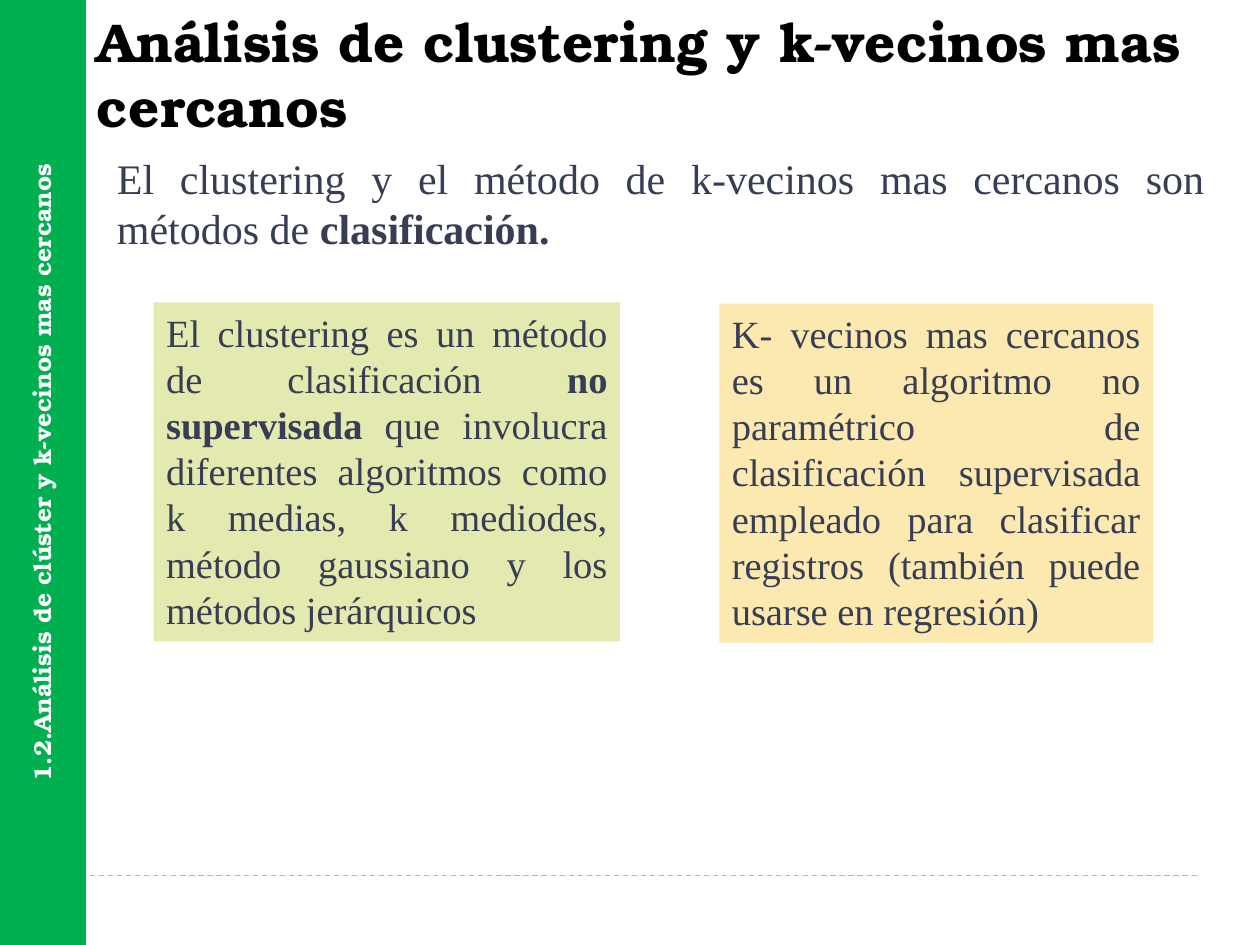
from dataclasses import dataclass
from typing import Optional

from pptx import Presentation
from pptx.dml.color import RGBColor
from pptx.enum.dml import MSO_LINE
from pptx.enum.shapes import MSO_CONNECTOR, MSO_SHAPE
from pptx.enum.text import MSO_ANCHOR as Anchor, PP_ALIGN as Align
from pptx.oxml.ns import qn
from pptx.util import Pt
from lxml.etree import SubElement

COLORS = {
    "green": "00B050", "rule": "9FB8CD", "white": "FFFFFF", "black": "000000",
    "ink": "373D54", "lime": "E4E9AF", "amber": "FCE9AF",
}
HEADING, BODY = "TeX Gyre Bonum", "Times New Roman"


@dataclass
class Block:
    left: float
    top: float
    width: float
    height: float
    runs: list[tuple[str, bool]]
    size: float
    font: str = BODY
    color: str = "ink"
    align: Align = Align.JUSTIFY
    fill: Optional[str] = None
    line: Optional[str] = None
    anchor: Anchor = Anchor.TOP
    vertical: bool = False


def rgb(key: str) -> RGBColor:
    return RGBColor.from_string(COLORS[key])


def draw_block(shapes, block: Block) -> None:
    place = [Pt(v) for v in (block.left, block.top, block.width, block.height)]
    if block.fill:
        panel = shapes.add_shape(MSO_SHAPE.RECTANGLE, *place)
        panel.shadow.inherit = False
        panel.fill.solid()
        panel.fill.fore_color.rgb = rgb(block.fill)
        if block.line:
            panel.line.color.rgb = rgb(block.line)
            panel.line.width = Pt(1.5)
        else:
            panel.line.fill.background()
    else:
        panel = shapes.add_textbox(*place)
    frame = panel.text_frame
    frame.word_wrap = True
    frame.vertical_anchor = block.anchor
    if block.vertical:
        frame._txBody.bodyPr.set("vert", "vert270")
    paragraph = frame.paragraphs[0]
    paragraph.alignment = block.align
    for wording, bold in block.runs:
        run = paragraph.add_run()
        run.text = wording
        run.font.name = block.font
        run.font.size = Pt(block.size)
        run.font.bold = bold
        run.font.color.rgb = rgb(block.color)


def draw_footer_rule(shapes, left: float, right: float, y: float) -> None:
    rule = shapes.add_connector(MSO_CONNECTOR.STRAIGHT, Pt(left), Pt(y), Pt(right), Pt(y))
    rule.line.color.rgb = rgb("rule")
    rule.line.width = Pt(0.75)
    rule.line.dash_style = MSO_LINE.DASH
    SubElement(rule._element.spPr, qn("a:effectLst"))


BLOCKS = [
    Block(0, 0, 48.24, 540, [("1.2.Análisis de clúster y k-vecinos mas cercanos", True)],
          14, HEADING, "white", Align.CENTER, "green", "green", Anchor.MIDDLE, True),
    Block(48.24, 0.72, 648, 77.76,
          [("Análisis de clustering y k-vecinos mas cercanos", True)],
          31.2, HEADING, "black", Align.LEFT),
    Block(59.76, 83.52, 635.76, 65.52,
          [("El clustering y el método de k-vecinos mas cercanos son métodos de ", False),
           ("clasificación.", True)], 24),
    Block(411.12, 173.52, 247.68, 193.68,
          [("K- vecinos mas cercanos es un algoritmo no paramétrico de clasificación "
            "supervisada empleado para clasificar registros (también puede usarse en "
            "regresión)", False)], 22, fill="amber"),
    Block(87.84, 172.8, 266.4, 193.68,
          [("El clustering es un método de clasificación ", False),
           ("no supervisada ", True),
           ("que involucra diferentes algoritmos como k medias, k mediodes, método "
            "gaussiano y los métodos jerárquicos", False)], 22, fill="lime"),
]

deck = Presentation()
deck.slide_width, deck.slide_height = Pt(720), Pt(540)
slide = deck.slides.add_slide(deck.slide_layouts[6])
draw_footer_rule(slide.shapes, 36, 684, 500.4)
for block in BLOCKS:
    draw_block(slide.shapes, block)
deck.save("out.pptx")
